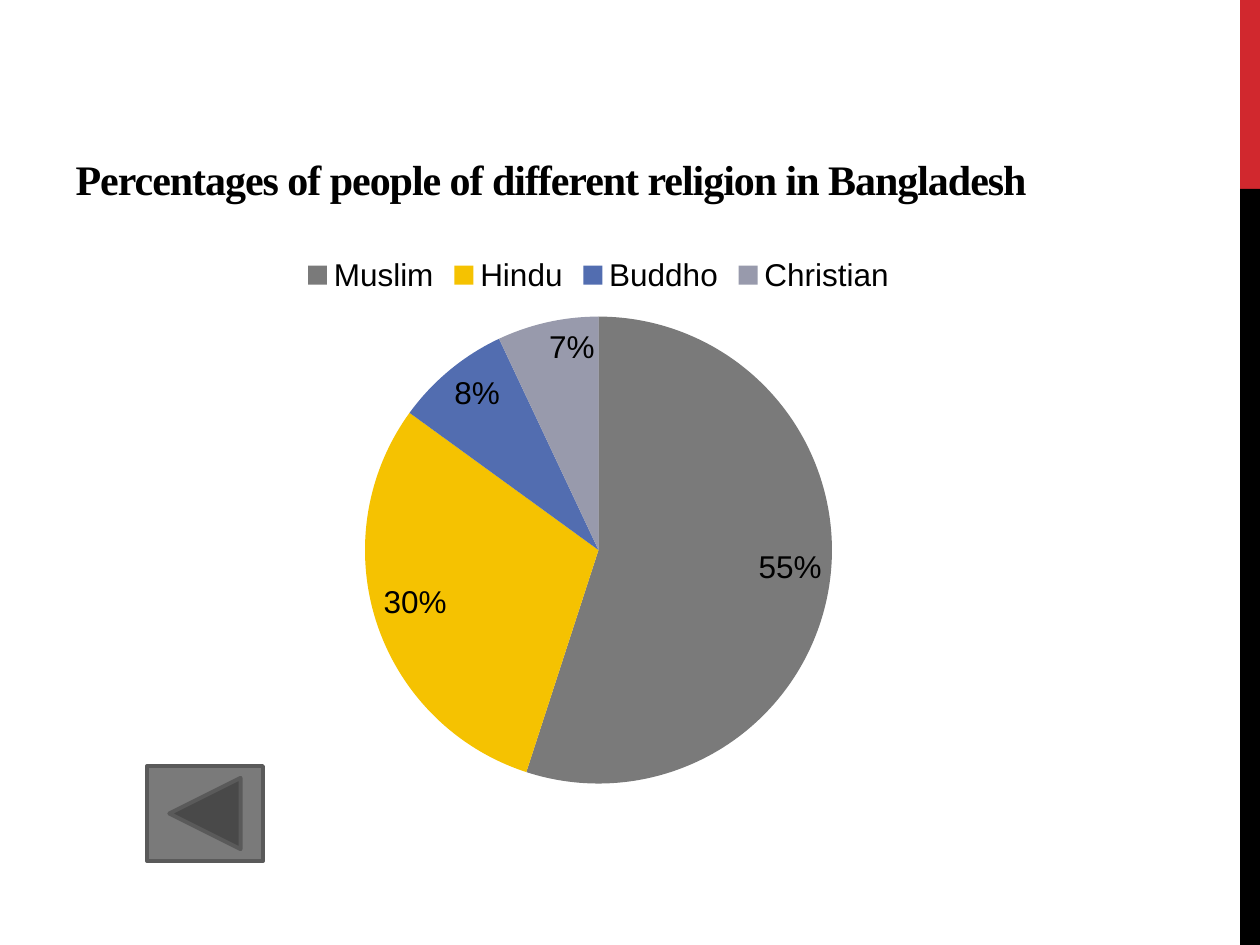
from dataclasses import dataclass

import pptx
import pptx.chart.data
import pptx.dml.color
import pptx.enum.chart
import pptx.enum.shapes
import pptx.enum.text
import pptx.util

RGBColor = pptx.dml.color.RGBColor
RED = RGBColor(0xD1, 0x28, 0x2E)
BLACK = RGBColor(0x00, 0x00, 0x00)
GRAY = RGBColor(0x7A, 0x7A, 0x7A)
EDGE = RGBColor(0x5A, 0x5A, 0x5A)
GOLD = RGBColor(0xF5, 0xC2, 0x01)
BLUE = RGBColor(0x52, 0x6D, 0xB0)
MAUVE = RGBColor(0x98, 0x9A, 0xAC)

SCALE = 914400 / 126  # EMU in one px
KIND = pptx.enum.shapes.MSO_SHAPE


@dataclass
class Box:
    left: int
    top: int
    width: int
    height: int

    def emu(self) -> list[int]:
        return [px(n) for n in (self.left, self.top, self.width, self.height)]


@dataclass
class Panel:
    kind: KIND
    box: Box
    fill: RGBColor
    edge: RGBColor | None = None


@dataclass
class Slice:
    name: str
    share: int
    color: RGBColor


PANELS = [
    Panel(KIND.RECTANGLE, Box(1240, 0, 20, 189), RED),
    Panel(KIND.RECTANGLE, Box(1240, 189, 20, 756), BLACK),
    Panel(KIND.ACTION_BUTTON_BACK_OR_PREVIOUS, Box(147, 766, 116, 95), GRAY, EDGE),
]
SLICES = [
    Slice("Muslim", 55, GRAY),
    Slice("Hindu", 30, GOLD),
    Slice("Buddho", 8, BLUE),
    Slice("Christian", 7, MAUVE),
]


def px(n: int) -> int:
    return round(n * SCALE)


def add_panel(slide, panel: Panel) -> None:
    shape = slide.shapes.add_shape(panel.kind, *panel.box.emu())
    shape.shadow.inherit = False
    shape.fill.solid()
    shape.fill.fore_color.rgb = panel.fill
    if panel.edge is None:
        shape.line.fill.background()
    else:
        shape.line.color.rgb = panel.edge
        shape.line.width = pptx.util.Pt(2.25)


def set_title(slide, text: str, box: Box) -> None:
    title = slide.shapes.title
    title.left, title.top, title.width, title.height = box.emu()
    frame = title.text_frame
    frame.text = text
    frame.word_wrap = True
    frame.auto_size = pptx.enum.text.MSO_AUTO_SIZE.NONE
    frame.vertical_anchor = pptx.enum.text.MSO_ANCHOR.BOTTOM
    line = frame.paragraphs[0]
    line.alignment = pptx.enum.text.PP_ALIGN.LEFT
    run = line.runs[0]
    run.font.name = "Times New Roman"
    run.font.size = pptx.util.Pt(24)
    run.font.bold = True
    run.font.color.rgb = BLACK
    run._r.get_or_add_rPr().set("spc", "-60")  # tight letter spacing


def add_pie(slide, slices: list[Slice], box: Box) -> None:
    data = pptx.chart.data.CategoryChartData()
    data.categories = [part.name for part in slices]
    data.add_series("Series 1", [part.share for part in slices])
    chart = slide.shapes.add_chart(
        pptx.enum.chart.XL_CHART_TYPE.PIE, *box.emu(), data
    ).chart
    chart.has_title = False
    chart.font.name = "Arial"
    chart.font.size = pptx.util.Pt(18)
    chart.font.color.rgb = BLACK

    # Legend above the pie
    chart.has_legend = True
    chart.legend.position = pptx.enum.chart.XL_LEGEND_POSITION.TOP
    chart.legend.include_in_layout = False

    # Slice colours and percent labels
    plot = chart.plots[0]
    plot.vary_by_categories = True
    for i, part in enumerate(slices):
        fill = plot.series[0].points[i].format.fill
        fill.solid()
        fill.fore_color.rgb = part.color
    labels = plot.series[0].data_labels
    labels.show_value = False
    labels.show_percentage = True
    labels.number_format = "0%"
    labels.number_format_is_linked = False
    labels.position = pptx.enum.chart.XL_LABEL_POSITION.INSIDE_END


def main() -> None:
    deck = pptx.Presentation()
    deck.slide_width, deck.slide_height = px(1260), px(945)
    slide = deck.slides.add_slide(deck.slide_layouts[5])

    set_title(
        slide,
        "Percentages of people of different religion in Bangladesh",
        Box(63, 21, 1134, 189),
    )
    add_pie(slide, SLICES, Box(168, 242, 861, 559))

    # Side bars and back button
    for panel in PANELS:
        add_panel(slide, panel)

    deck.save("out.pptx")


if __name__ == "__main__":
    main()
